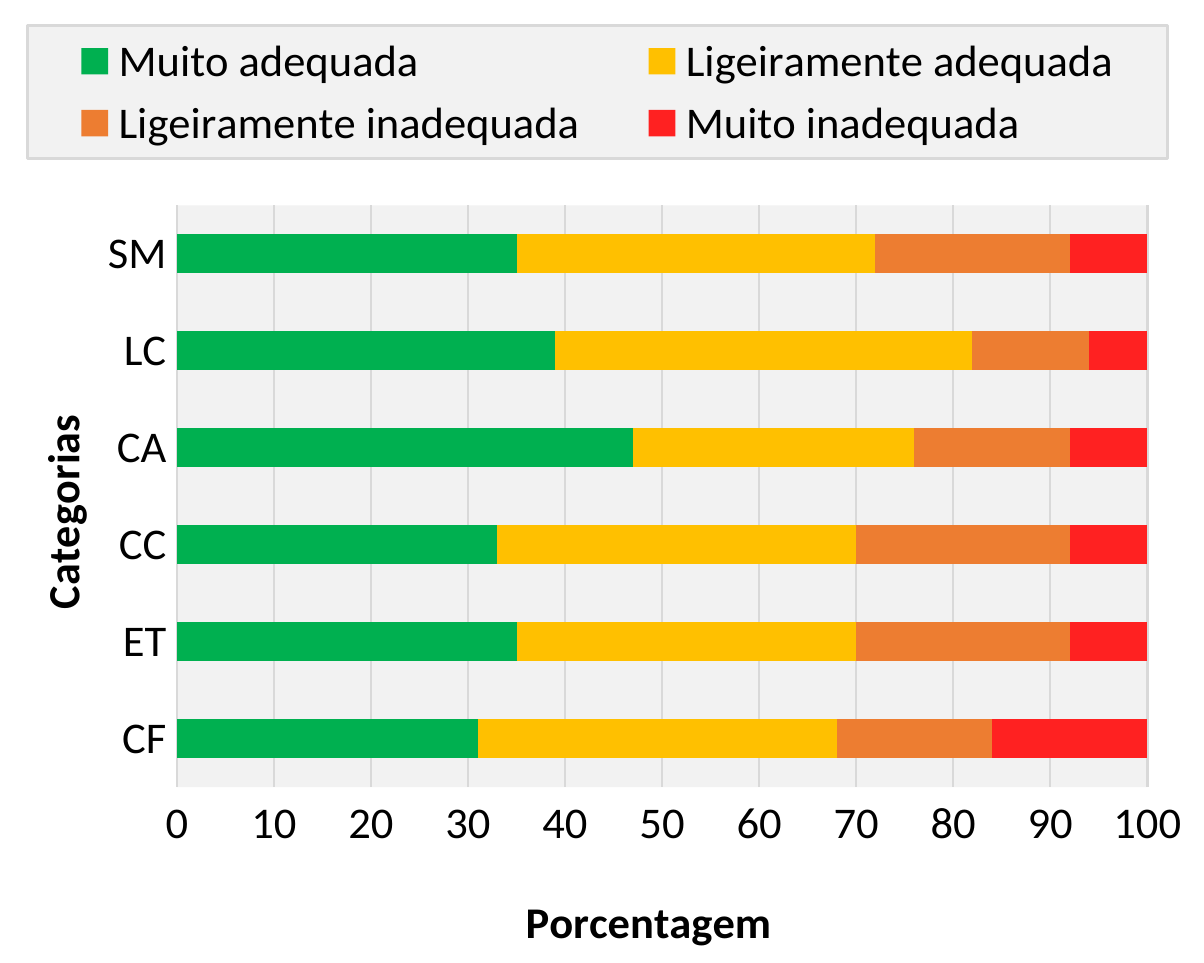
from dataclasses import dataclass

from lxml.etree import SubElement
from pptx import Presentation
from pptx.chart.data import CategoryChartData
from pptx.dml.color import RGBColor
from pptx.enum.chart import XL_CHART_TYPE as ChartType
from pptx.enum.chart import XL_LEGEND_POSITION as LegendPosition
from pptx.enum.chart import XL_TICK_MARK as TickMark
from pptx.oxml import parse_xml
from pptx.oxml.ns import nsdecls, qn
from pptx.util import Inches, Pt


@dataclass(frozen=True)
class Theme:
    """Colours, font and sizes of the slide."""

    font: str = "Calibri"
    text_size: float = 12
    line_width: float = 0.75
    text: str = "000000"
    panel: str = "F2F2F2"
    rule: str = "D9D9D9"


THEME = Theme()
CATEGORIES = ["CF", "ET", "CC", "CA", "LC", "SM"]
RATINGS = [
    ("Muito adequada", "00B050", [31, 35, 33, 47, 39, 35]),
    ("Ligeiramente adequada", "FFC000", [37, 35, 37, 29, 43, 37]),
    ("Ligeiramente inadequada", "ED7D31", [16, 22, 22, 16, 12, 20]),
    ("Muito inadequada", "FF2121", [16, 8, 8, 8, 6, 8]),
]


def format_font(font, bold=False):
    """Apply the theme's type to a font."""
    font.name = THEME.font
    font.size = Pt(THEME.text_size)
    font.bold = bold
    font.color.rgb = RGBColor.from_string(THEME.text)


def set_text(text_frame, text, bold=False, rotation=0):
    """Write formatted text, turned by a number of degrees."""
    run = text_frame.paragraphs[0].add_run()
    run.text = text
    format_font(run.font, bold)
    body = text_frame._txBody.find(qn("a:bodyPr"))
    body.set("rot", str(rotation * 60000))
    body.set("vert", "horz")


def format_line(line):
    """Give a line the thin rule style."""
    line.color.rgb = RGBColor.from_string(THEME.rule)
    line.width = Pt(THEME.line_width)


def place(element, index, inner=False, **box):
    """Position a chart element by fractions of the chart."""
    for layout in element.findall(qn("c:layout")):
        element.remove(layout)
    layout = parse_xml(f"<c:layout {nsdecls('c')}/>")
    manual = SubElement(layout, qn("c:manualLayout"))
    if inner:
        SubElement(manual, qn("c:layoutTarget")).set("val", "inner")
    for side in ("x", "y"):
        SubElement(manual, qn(f"c:{side}Mode")).set("val", "edge")
    for name, fraction in box.items():
        SubElement(manual, qn(f"c:{name}")).set("val", str(fraction))
    element.insert(index, layout)


def panel_properties(border):
    """Return shape properties for a grey panel."""
    color = f'<a:solidFill><a:srgbClr val="{THEME.rule}"/></a:solidFill>'
    outline = color if border else "<a:noFill/>"
    return parse_xml(
        f'<c:spPr {nsdecls("c", "a")}>'
        f'<a:solidFill><a:srgbClr val="{THEME.panel}"/></a:solidFill>'
        f'<a:ln w="{Pt(THEME.line_width)}">{outline}</a:ln></c:spPr>'
    )


def format_axis(axis, title, rotation=0):
    """Set the title, labels and tick marks of an axis."""
    set_text(axis.axis_title.text_frame, title, bold=True, rotation=rotation)
    format_font(axis.tick_labels.font)
    axis.major_tick_mark = axis.minor_tick_mark = TickMark.NONE


def format_axes(chart):
    """Format the category and percentage axes."""
    categories, percentages = chart.category_axis, chart.value_axis
    format_axis(categories, "Categorias", rotation=-90)
    format_line(categories.format.line)
    format_axis(percentages, "Porcentagem")
    percentages.minimum_scale, percentages.maximum_scale = 0, 100
    percentages.major_unit = 10
    percentages.tick_labels.number_format = "0"
    percentages.tick_labels.number_format_is_linked = False
    percentages.format.line.fill.background()
    format_line(percentages.major_gridlines.format.line)
    plot_area = chart.element.xpath("c:chart/c:plotArea")[0]
    place(plot_area.xpath("c:catAx/c:title")[0], 1, x=0.02, y=0.43)
    place(plot_area.xpath("c:valAx/c:title")[0], 1, x=0.43, y=0.93)
    place(plot_area, 0, inner=True, x=0.147, y=0.216, w=0.806, h=0.612)
    plot_area.append(panel_properties(border=False))


def format_legend(chart):
    """Place the legend in a bordered panel above the bars."""
    chart.has_legend = True
    chart.legend.position = LegendPosition.TOP
    chart.legend.include_in_layout = False
    format_font(chart.legend.font)
    legend = chart.element.xpath("c:chart/c:legend")[0]
    place(legend, 1, x=0.023, y=0.027, w=0.947, h=0.14)
    legend.find(qn("c:txPr")).addprevious(panel_properties(border=True))


def add_rating_chart(slide, width, height):
    """Add the stacked bars of ratings by category."""
    data = CategoryChartData(number_format="0")
    data.categories = CATEGORIES
    for name, _, values in RATINGS:
        data.add_series(name, values)
    chart = slide.shapes.add_chart(
        ChartType.BAR_STACKED, 0, 0, width, height, data
    ).chart
    chart.has_title = False
    format_font(chart.font)
    plot = chart.plots[0]
    plot.gap_width, plot.overlap = 150, 100
    plot.vary_by_categories = False
    for series, (_, color, _) in zip(plot.series, RATINGS):
        series.format.fill.solid()
        series.format.fill.fore_color.rgb = RGBColor.from_string(color)
    format_axes(chart)
    format_legend(chart)


def main():
    """Build and save the slide."""
    presentation = Presentation()
    presentation.slide_width = Inches(4.5)
    presentation.slide_height = Inches(3.6)
    slide = presentation.slides.add_slide(presentation.slide_layouts[6])
    add_rating_chart(slide, presentation.slide_width, presentation.slide_height)
    presentation.save("out.pptx")


main()
